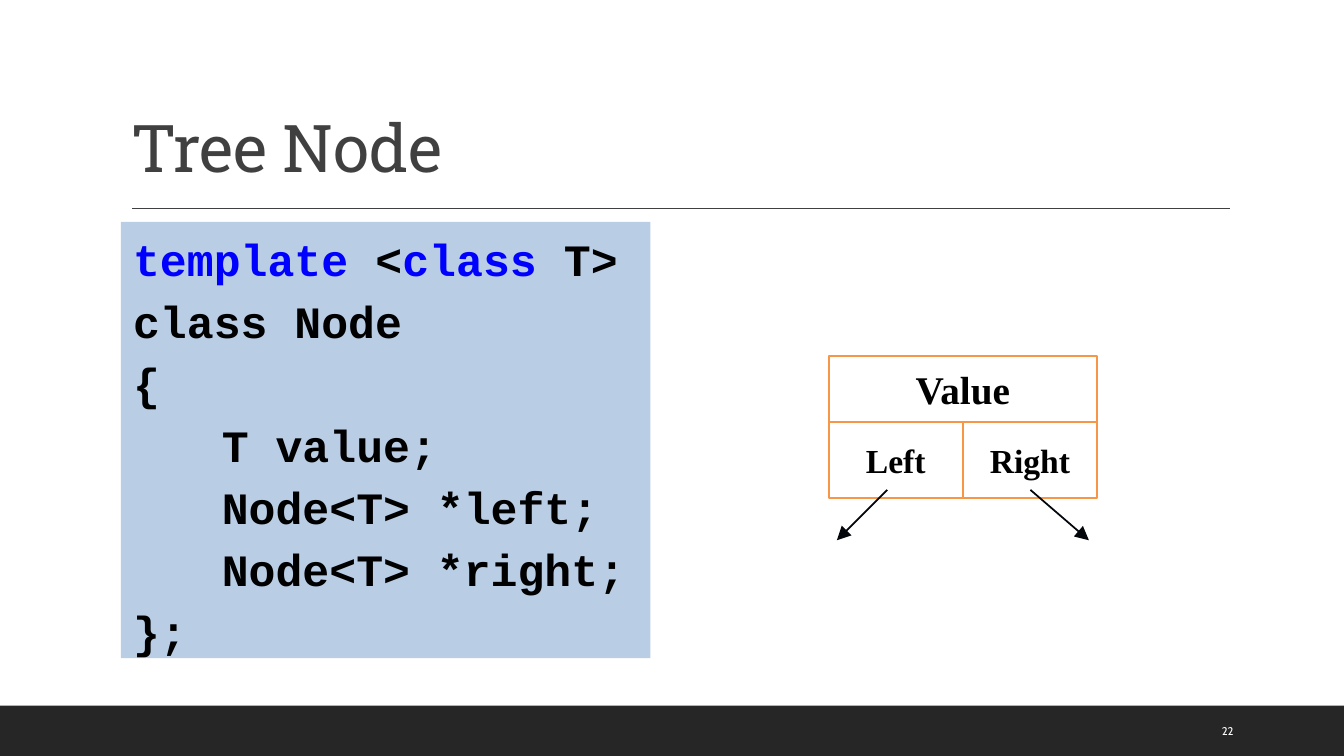
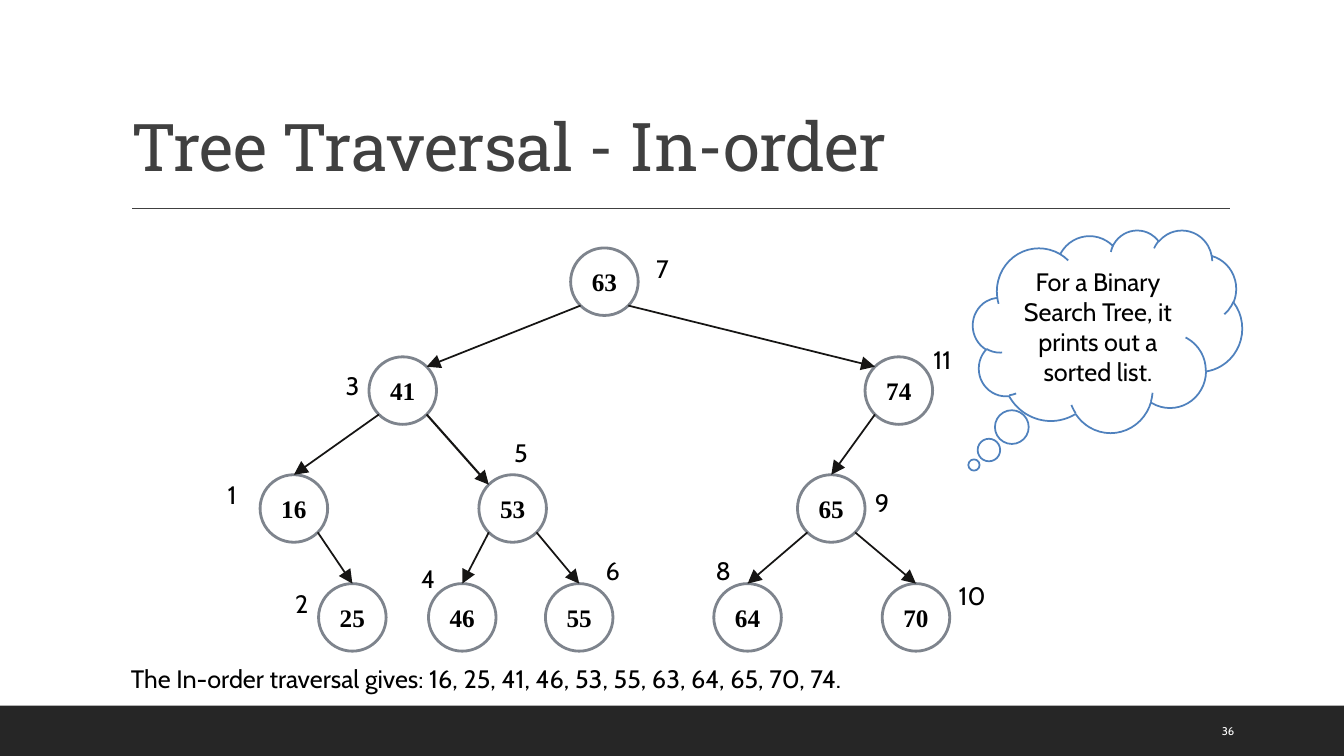
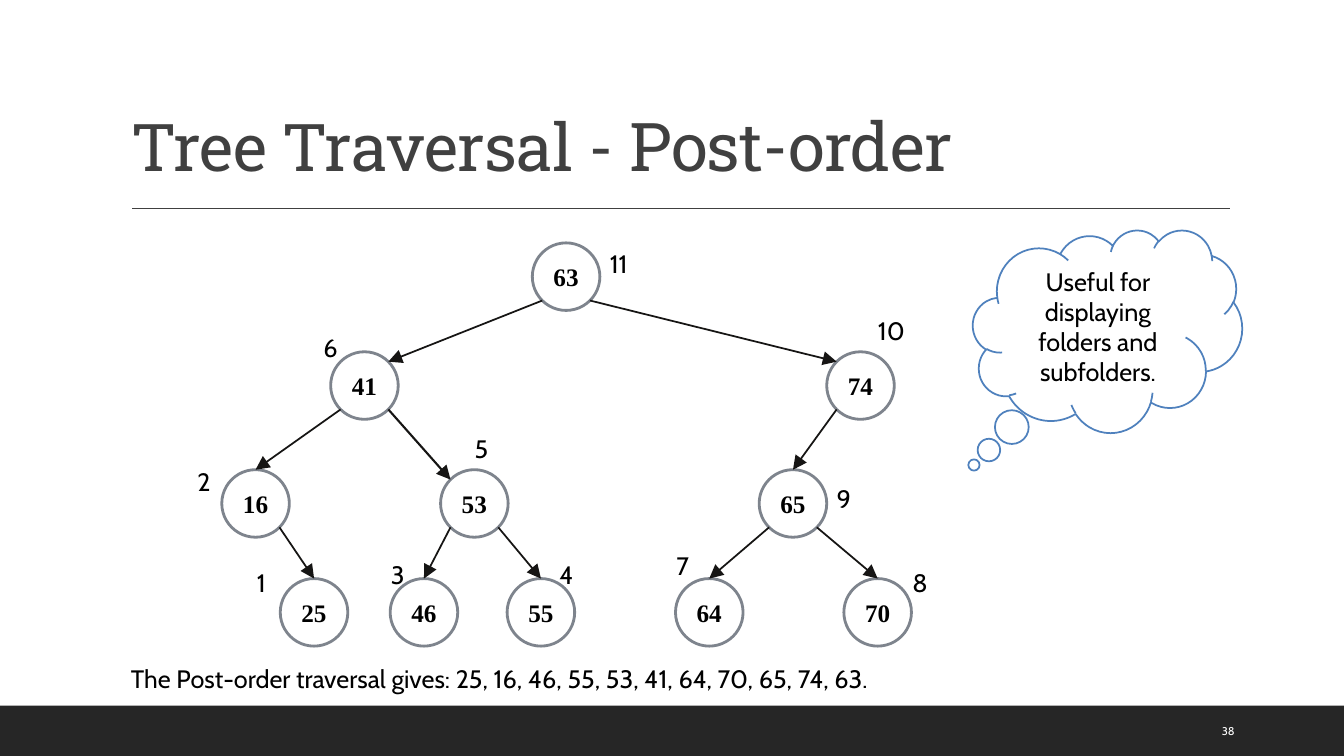
from lxml import etree
from pptx import Presentation
from pptx.dml.color import RGBColor
from pptx.enum.shapes import MSO_CONNECTOR, MSO_SHAPE
from pptx.enum.text import MSO_ANCHOR as Anchor, MSO_AUTO_SIZE as AutoSize, PP_ALIGN as Align
from pptx.oxml.ns import qn
from pptx.util import Inches, Pt

COLORS = {
    "white": "FFFFFF", "black": "000000", "band": "262626", "title": "404040",
    "code": "B9CDE5", "keyword": "0000FF", "cell": "F79646", "pointer": "03070C",
    "node": "7E848D", "edge": "161514", "cloud": "4F81BD",
}
HEADING, SANS, SERIF, MONO = "Roboto Slab", "Cabin", "Times New Roman", "Courier New"
TITLE_ONLY, TITLE_AND_BODY = 5, 1

# Tree: top left corner of each node, and the children of each node
NODE_SIZE = 0.67
DIAGONAL = NODE_SIZE / 2 * 0.7071
NODES = {
    63: (5.66, 2.46), 41: (3.66, 3.54), 74: (8.58, 3.54),
    16: (2.58, 4.71), 53: (4.75, 4.71), 65: (7.91, 4.71),
    25: (3.16, 5.79), 46: (4.25, 5.79), 55: (5.41, 5.79),
    64: (7.08, 5.79), 70: (8.75, 5.79),
}
CHILDREN = {63: (41, 74), 41: (16, 53), 74: (65,), 16: (25,), 53: (46, 55), 65: (64, 70)}
CORNER_ENTRY = {41, 74, 53}  # nodes whose arrow ends at an upper corner


def color(name):
    return RGBColor.from_string(COLORS[name])


class Deck:
    """Holds the shared style and the current slide."""

    def __init__(self):
        self.file = Presentation()
        self.file.slide_width, self.file.slide_height = Inches(13.33), Inches(7.5)
        self.page = None

    def new_page(self, number, title_runs, layout=TITLE_ONLY):
        self.page = self.file.slides.add_slide(self.file.slide_layouts[layout])
        self.shape(MSO_SHAPE.RECTANGLE, (0, 7, 13.33, 0.5), "band")
        self.line((1.31, 2.07), (12.2, 2.07), "title", 1.25)
        self.title(title_runs)
        self.text(str(number), (12.02, 7.05, 0.85, 0.4), 8, "white", Anchor.MIDDLE)

    def place(self, box, at):
        box.left, box.top, box.width, box.height = map(Inches, at)

    def style(self, para, font, size, ink="black", bold=False, align=Align.LEFT):
        para.alignment = align
        para.font.name, para.font.size, para.font.bold = font, Pt(size), bold
        para.font.color.rgb = color(ink)

    def title(self, runs):
        box = self.page.shapes.title
        self.place(box, (1.2, 0.31, 11, 1.59))
        frame = box.text_frame
        frame.auto_size, frame.vertical_anchor = AutoSize.NONE, Anchor.BOTTOM
        para = frame.paragraphs[0]
        self.style(para, HEADING, 47, "title")
        para.line_spacing = 0.9
        for words, size in runs:
            span = para.add_run()
            span.text, span.font.size = words, Pt(size)
            span.font._element.set("spc", "-50")

    def code(self, lines, at):
        """Each line is (indent, [(words, colour), ...])."""
        box = self.page.placeholders[1]
        self.place(box, at)
        box.fill.solid()
        box.fill.fore_color.rgb = color("code")
        frame = box.text_frame
        frame.auto_size, frame.vertical_anchor = AutoSize.NONE, Anchor.TOP
        frame.margin_left = frame.margin_right = 0
        for index, (indent, spans) in enumerate(lines):
            para = frame.add_paragraph() if index else frame.paragraphs[0]
            self.style(para, MONO, 32, bold=True)
            para.line_spacing, para.space_before, para.space_after = 1.1, Pt(0), Pt(2)
            layout = para._p.get_or_add_pPr()
            layout.set("marL", str(Inches(indent)))
            layout.set("indent", "0")
            layout.insert_element_before(layout.makeelement(qn("a:buNone")), "a:tabLst", "a:defRPr")
            for words, ink in spans:
                span = para.add_run()
                span.text = words
                span.font.color.rgb = color(ink)

    def text(self, words, at, size=18, ink="black", anchor=Anchor.TOP):
        frame = self.page.shapes.add_textbox(*map(Inches, at)).text_frame
        frame.word_wrap, frame.vertical_anchor = True, anchor
        frame.text = words
        self.style(frame.paragraphs[0], SANS, size, ink)

    def shape(self, kind, at, fill="white", line=None, width=1.25):
        box = self.page.shapes.add_shape(kind, *map(Inches, at))
        box.shadow.inherit = False
        box.fill.solid()
        box.fill.fore_color.rgb = color(fill)
        if line:
            box.line.color.rgb, box.line.width = color(line), Pt(width)
        else:
            box.line.fill.background()
        return box

    def label(self, box, words, font, size, bold=True):
        frame = box.text_frame
        frame.word_wrap, frame.vertical_anchor = True, Anchor.MIDDLE
        frame.text = words
        self.style(frame.paragraphs[0], font, size, bold=bold, align=Align.CENTER)

    def cell(self, words, at, size):
        self.label(self.shape(MSO_SHAPE.RECTANGLE, at, line="cell"), words, SERIF, size)

    def cloud(self, words):
        box = self.shape(MSO_SHAPE.CLOUD_CALLOUT, (9.65, 2.28, 2.67, 2.01), line="cloud")
        box.adjustments[0], box.adjustments[1] = -0.496, 0.661
        self.label(box, words, SANS, 18, bold=False)

    def line(self, start, end, ink, width=1.25, arrow=False):
        ends = map(Inches, (*start, *end))
        line = self.page.shapes.add_connector(MSO_CONNECTOR.STRAIGHT, *ends)
        line.line.color.rgb, line.line.width = color(ink), Pt(width)
        if arrow:
            etree.SubElement(line.line._get_or_add_ln(), qn("a:tailEnd"),
                             type="triangle", w="lg", len="lg")
        etree.SubElement(line._element.spPr, qn("a:effectLst"))

    def tree(self, shift_x=0, shift_y=0):
        spots = {key: (x + shift_x, y + shift_y) for key, (x, y) in NODES.items()}
        half = NODE_SIZE / 2
        for key, spot in spots.items():
            box = self.shape(MSO_SHAPE.OVAL, (*spot, NODE_SIZE, NODE_SIZE), line="node", width=2)
            self.label(box, str(key), SERIF, 18)
        for parent, children in CHILDREN.items():
            for child in children:
                x1, y1 = (value + half for value in spots[parent])
                x2, y2 = (value + half for value in spots[child])
                side = DIAGONAL if x2 > x1 else -DIAGONAL
                end = (x2, y2 - half)
                if child in CORNER_ENTRY:
                    end = (x2 - side, y2 - DIAGONAL)
                self.line((x1 + side, y1 + DIAGONAL), end, "edge",
                          1.5 if child == 53 else 1.25, arrow=True)

    def traversal(self, number, name, order, remark, steps, shift=(0, 0)):
        """Steps are the places of the visit numbers 1, 2, 3 and so on."""
        self.new_page(number, [("Tree Traversal - ", 47), (name, 48)])
        self.tree(*shift)
        for step, spot in enumerate(steps, 1):
            self.text(str(step), (*spot, 0.33 if step < 10 else 0.5, 0.4))
        result = ", ".join(map(str, order))
        self.text(f"The {name} traversal gives: {result}.", (1.2, 6.53, 10.79, 0.4))
        self.cloud(remark)


def main():
    deck = Deck()

    # Tree node: class and diagram
    deck.new_page(22, [("Tree Node", 47)], TITLE_AND_BODY)
    deck.code([
        (0.12, [("template ", "keyword"), ("<", "black"), ("class ", "keyword"), ("T>", "black")]),
        (0.12, [("class Node", "black")]),
        (0.12, [("{", "black")]),
        (1, [("T value;", "black")]),
        (1, [("Node<T> *left;", "black")]),
        (1, [("Node<T> *right;", "black")]),
        (0.12, [("};", "black")]),
    ], (1.2, 2.2, 5.25, 4.33))
    deck.cell("Value", (8.22, 3.53, 2.66, 0.66), 28)
    deck.cell("Left", (8.22, 4.19, 1.33, 0.75), 24)
    deck.cell("Right", (9.55, 4.19, 1.33, 0.75), 24)
    deck.line((8.8, 4.86), (8.3, 5.36), "pointer", arrow=True)
    deck.line((10.22, 4.86), (10.8, 5.36), "pointer", arrow=True)

    # Traversals
    deck.traversal(
        36, "In-order", [16, 25, 41, 46, 53, 55, 63, 64, 65, 70, 74],
        "For a Binary Search Tree, it prints out a sorted list.",
        [(2.16, 4.71), (2.83, 5.79), (3.33, 3.62), (4.08, 5.54), (5, 4.29), (5.91, 5.46),
         (6.41, 2.46), (7, 5.46), (8.58, 4.79), (9.41, 5.71), (9.16, 3.37)])
    deck.traversal(
        38, "Post-order", [25, 16, 46, 55, 53, 41, 64, 70, 65, 74, 63],
        "Useful for displaying folders and subfolders.",
        [(2.45, 5.58), (1.86, 4.58), (3.78, 5.5), (5.45, 5.5), (4.61, 4.25), (3.11, 3.25),
         (6.61, 5.41), (8.95, 5.58), (8.2, 4.75), (8.61, 3.08), (5.95, 2.41)],
        shift=(-0.38, -0.05))

    deck.file.save("out.pptx")


if __name__ == "__main__":
    main()
